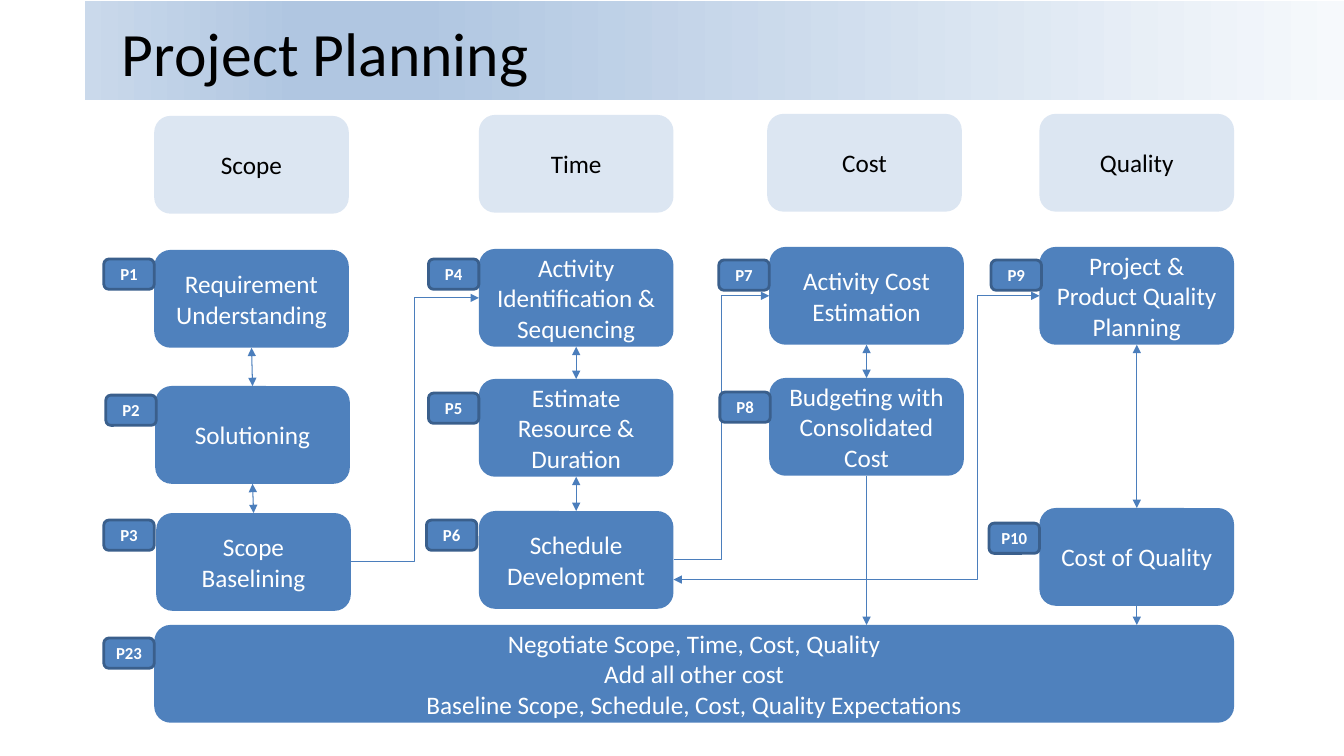
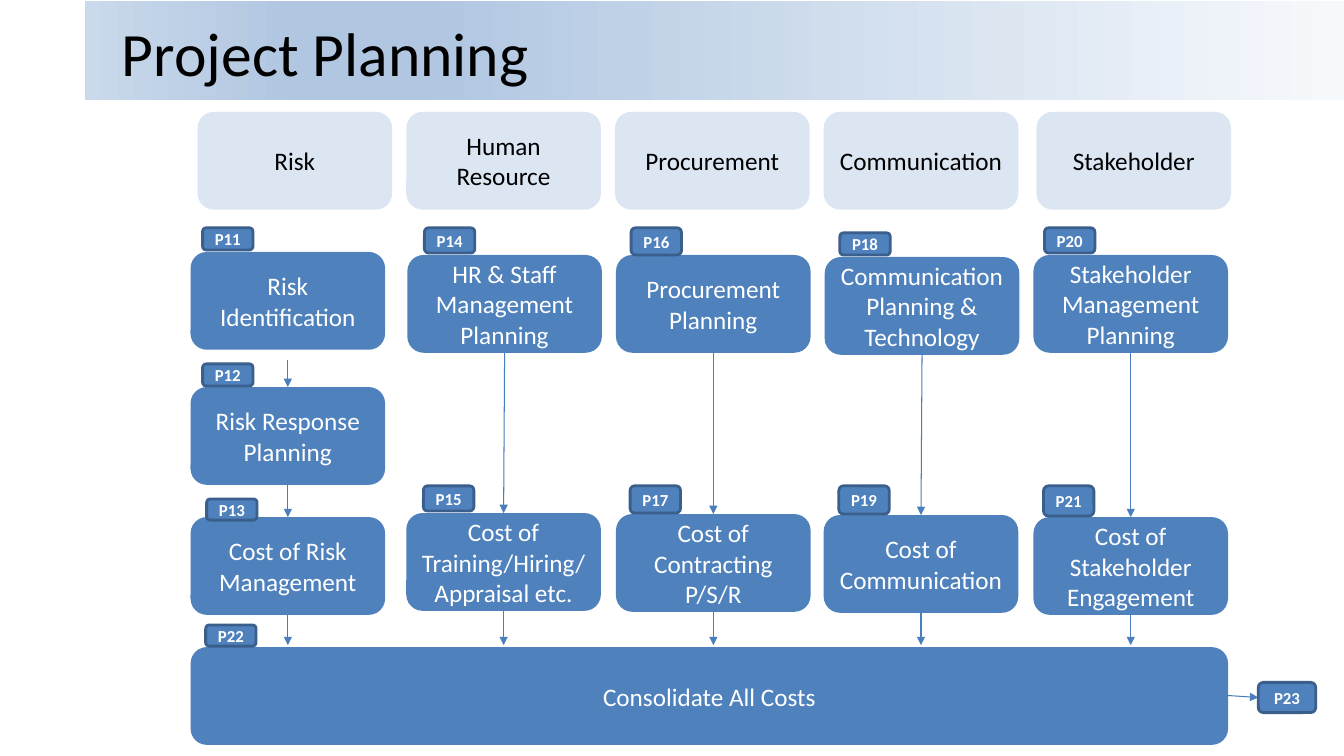
"""Build two project planning slides: process columns that feed a total bar."""
from dataclasses import dataclass

from lxml import etree
from pptx import Presentation
from pptx.dml.color import RGBColor
from pptx.enum.shapes import MSO_CONNECTOR, MSO_SHAPE
from pptx.enum.text import MSO_ANCHOR, PP_ALIGN
from pptx.oxml.ns import qn
from pptx.util import Inches, Pt

STRAIGHT, ELBOW = MSO_CONNECTOR.STRAIGHT, MSO_CONNECTOR.ELBOW
RECTANGLE, ROUNDED = MSO_SHAPE.RECTANGLE, MSO_SHAPE.ROUNDED_RECTANGLE
MIDDLE = MSO_ANCHOR.MIDDLE
LEFT, CENTER = PP_ALIGN.LEFT, PP_ALIGN.CENTER

FONT = "Calibri"
BLACK, WHITE = "000000", "FFFFFF"
PALE, BLUE, BLUE_EDGE, ARROW = "DCE6F2", "4F81BD", "3A5F8C", "4B7EBC"
BAND_STOPS = ((0, "F6F9FC"), (74, "B0C6E1"), (83, "B0C6E1"), (100, "CAD9EB"))
BOX_WIDTH, BOX_HEIGHT = 1.93, 0.97
TITLE = "Project Planning"


@dataclass(frozen=True)
class Badge:
    """A small process number."""
    code: str
    left: float
    top: float
    height: float = 0.3
    width: float = 0.5


@dataclass(frozen=True)
class Box:
    """A process step with its badge."""
    text: str
    left: float
    top: float
    badge: Badge
    width: float = BOX_WIDTH
    gap_below: float = 0

    @property
    def center(self) -> float:
        """Return the horizontal centre."""
        return self.left + self.width / 2

    @property
    def middle(self) -> float:
        """Return the vertical centre."""
        return self.top + BOX_HEIGHT / 2

    @property
    def right(self) -> float:
        """Return the right edge."""
        return self.left + self.width

    @property
    def bottom(self) -> float:
        """Return the bottom edge."""
        return self.top + BOX_HEIGHT


@dataclass(frozen=True)
class Column:
    """A heading above a chain of steps."""
    heading: str
    left: float
    top: float
    steps: tuple[Box, ...]
    feeds_total: bool = True


@dataclass(frozen=True)
class Arrow:
    """A line with an arrowhead at its end and optionally at its start."""
    start: tuple[float, float]
    end: tuple[float, float]
    kind: int = STRAIGHT
    two_way: bool = False
    bend: float = 0.5


@dataclass(frozen=True)
class Plan:
    """Everything below the title of one slide."""
    columns: tuple[Column, ...]
    total: Box
    arrows: tuple[Arrow, ...]
    two_way: bool
    total_gap: float = 0
    extra_badges: tuple[Badge, ...] = ()


SCOPE = (
    Box("Requirement\nUnderstanding", 1.53, 2.48, Badge("P1", 1.03, 2.57)),
    Box("Solutioning", 1.54, 3.83, Badge("P2", 1.05, 3.92)),
    Box("Scope Baselining", 1.55, 5.09, Badge("P3", 1.03, 5.16)),
)
TIME = (
    Box("Activity Identification & Sequencing", 4.75, 2.47, Badge("P4", 4.25, 2.57)),
    Box("Estimate\nResource & Duration", 4.75, 3.76, Badge("P5", 4.25, 3.9)),
    Box("Schedule Development", 4.75, 5.07, Badge("P6", 4.23, 5.16)),
)
COST = (
    Box("Activity Cost\nEstimation", 7.63, 2.45, Badge("P7", 7.13, 2.58)),
    Box("Budgeting with Consolidated Cost", 7.63, 3.75, Badge("P8", 7.14, 3.89)),
)
QUALITY = (
    Box("Project & Product Quality Planning", 10.31, 2.45, Badge("P9", 9.83, 2.58)),
    Box("Cost of Quality", 10.31, 5.04, Badge("P10", 9.81, 5.19)),
)
CORE_PLAN = Plan(
    columns=(
        Column("Scope", 1.53, 1.15, SCOPE, feeds_total=False),
        Column("Time", 4.75, 1.14, TIME, feeds_total=False),
        Column("Cost", 7.61, 1.13, COST),
        Column("Quality", 10.31, 1.13, QUALITY),
    ),
    total=Box(
        "Negotiate Scope, Time, Cost, Quality\nAdd all other cost\n"
        "Baseline Scope, Schedule, Cost, Quality Expectations",
        1.53, 6.2, Badge("P23", 1.03, 6.33), width=10.71),
    arrows=(
        Arrow((SCOPE[-1].right, SCOPE[-1].middle), (TIME[0].left, TIME[0].middle), ELBOW),
        Arrow((TIME[-1].right, TIME[-1].middle), (COST[0].left, COST[0].middle), ELBOW),
        Arrow((QUALITY[0].left, QUALITY[0].middle), (TIME[-1].right, 5.75), ELBOW,
              two_way=True, bend=0.17),
    ),
    two_way=True,
)

RISK = (
    Box("Risk Identification", 1.89, 2.5, Badge("P11", 2.01, 2.26, 0.22), gap_below=0.1),
    Box("Risk Response Planning", 1.89, 3.84, Badge("P12", 2.01, 3.61, 0.22)),
    Box("Cost of Risk Management", 1.89, 5.13, Badge("P13", 2.05, 4.95, 0.21)),
)
HUMAN_RESOURCE = (
    Box("HR & Staff Management Planning", 4.04, 2.53, Badge("P14", 4.21, 2.26, 0.25)),
    Box("Cost of Training/Hiring/ Appraisal etc.", 4.03, 5.09, Badge("P15", 4.2, 4.82, 0.25)),
)
PROCUREMENT = (
    Box("Procurement Planning", 6.11, 2.53, Badge("P16", 6.26, 2.26, 0.27)),
    Box("Cost of Contracting P/S/R", 6.11, 5.1, Badge("P17", 6.25, 4.82, 0.27)),
)
COMMUNICATION = (
    Box("Communication Planning & Technology", 8.18, 2.55, Badge("P18", 8.33, 2.31, 0.22)),
    Box("Cost of Communication", 8.17, 5.11, Badge("P19", 8.32, 4.82, 0.28)),
)
STAKEHOLDER = (
    Box("Stakeholder Management Planning", 10.25, 2.53, Badge("P20", 10.36, 2.26, 0.25)),
    Box("Cost of Stakeholder Engagement", 10.25, 5.13, Badge("P21", 10.35, 4.82)),
)
SUPPORT_PLAN = Plan(
    columns=(
        Column("Risk", 1.96, 1.11, RISK),
        Column("Human Resource", 4.03, 1.11, HUMAN_RESOURCE),
        Column("Procurement", 6.1, 1.11, PROCUREMENT),
        Column("Communication", 8.17, 1.11, COMMUNICATION),
        Column("Stakeholder", 10.28, 1.11, STAKEHOLDER),
    ),
    total=Box("Consolidate All Costs", 1.89, 6.42, Badge("P22", 2.04, 6.2, 0.21), width=10.29),
    arrows=(Arrow((12.18, 6.9), (12.48, 6.92)),),
    two_way=False,
    total_gap=0.02,
    extra_badges=(Badge("P23", 12.48, 6.77, width=0.57),),
)


def color(value: str) -> RGBColor:
    """Turn a hex string into a colour."""
    return RGBColor.from_string(value)


def format_text(text_frame, text: str, size: int, text_color: str,
                alignment=CENTER, bold: bool = False) -> None:
    """Write and format text, one paragraph a line."""
    text_frame.word_wrap = True
    text_frame.vertical_anchor = MIDDLE
    text_frame.text = text
    for paragraph in text_frame.paragraphs:
        paragraph.alignment = alignment
        font = paragraph.font
        font.name, font.size, font.bold = FONT, Pt(size), bold
        font.color.rgb = color(text_color)


def add_block(slide, left: float, top: float, width: float, height: float,
              fill: str, kind=ROUNDED):
    """Add a flat filled shape without an outline."""
    shape = slide.shapes.add_shape(kind, Inches(left), Inches(top), Inches(width), Inches(height))
    shape.shadow.inherit = False
    shape.fill.solid()
    shape.fill.fore_color.rgb = color(fill)
    shape.line.fill.background()
    return shape


def add_box(slide, text: str, left: float, top: float, width: float = BOX_WIDTH,
            fill: str = BLUE, text_color: str = WHITE) -> None:
    """Add a rounded heading, step or total bar."""
    shape = add_block(slide, left, top, width, BOX_HEIGHT, fill)
    format_text(shape.text_frame, text, 18, text_color)


def add_badge(slide, badge: Badge) -> None:
    """Add an outlined process number."""
    shape = add_block(slide, badge.left, badge.top, badge.width, badge.height, BLUE)
    shape.line.color.rgb = color(BLUE_EDGE)
    shape.line.width = Pt(2)
    frame = shape.text_frame
    frame.margin_left = frame.margin_right = frame.margin_top = frame.margin_bottom = 0
    format_text(frame, badge.code, 12, WHITE, bold=True)


def add_arrow(slide, arrow: Arrow) -> None:
    """Add a straight or elbow connector with arrowheads."""
    points = [Inches(value) for value in (*arrow.start, *arrow.end)]
    connector = slide.shapes.add_connector(arrow.kind, *points)
    connector.line.color.rgb = color(ARROW)
    connector.line.width = Pt(0.75)
    properties = connector.element.spPr
    line = properties.find(qn("a:ln"))
    for end in ("a:headEnd", "a:tailEnd") if arrow.two_way else ("a:tailEnd",):
        etree.SubElement(line, qn(end), type="triangle")
    etree.SubElement(properties, qn("a:effectLst"))
    if arrow.kind == ELBOW:
        geometry = properties.find(qn("a:prstGeom"))
        adjustments = geometry.find(qn("a:avLst"))
        if adjustments is None:
            adjustments = etree.SubElement(geometry, qn("a:avLst"))
        etree.SubElement(adjustments, qn("a:gd"), name="adj1",
                         fmla=f"val {round(arrow.bend * 100000)}")


def add_band(slide) -> None:
    """Put the gradient band on the layout, behind the title."""
    band = add_block(slide, 0.84, 0.01, 12.49, 0.98, PALE, RECTANGLE)
    band.fill.gradient()
    band.fill.gradient_angle = 180
    stops = band.element.spPr.find(qn("a:gradFill")).find(qn("a:gsLst"))
    for stop in list(stops):
        stops.remove(stop)
    for position, value in BAND_STOPS:
        stop = etree.SubElement(stops, qn("a:gs"), pos=str(position * 1000))
        etree.SubElement(stop, qn("a:srgbClr"), val=value)
    band.element.nvSpPr.cNvPr.set("id", "100")
    slide.slide_layout.shapes.element.insert(2, band.element)


def add_title(slide) -> None:
    """Place and format the title placeholder."""
    title = slide.shapes.title
    title.left, title.top = Inches(1.11), Inches(0.06)
    title.width, title.height = Inches(11.78), Inches(0.91)
    format_text(title.text_frame, TITLE, 44, BLACK, LEFT)


def add_column(slide, column: Column, plan: Plan) -> None:
    """Add a heading, its steps and the arrows that chain them."""
    add_box(slide, column.heading, column.left, column.top, fill=PALE, text_color=BLACK)
    for step in column.steps:
        add_box(slide, step.text, step.left, step.top)
    for upper, lower in zip(column.steps, column.steps[1:]):
        add_arrow(slide, Arrow((upper.center, upper.bottom + upper.gap_below),
                               (lower.center, lower.top), two_way=plan.two_way))
    if column.feeds_total:
        last = column.steps[-1]
        add_arrow(slide, Arrow((last.center, last.bottom),
                               (last.center, plan.total.top - plan.total_gap)))


def add_plan(slide, plan: Plan) -> None:
    """Draw the columns, the total bar, the cross arrows and the badges."""
    add_title(slide)
    total = plan.total
    add_box(slide, total.text, total.left, total.top, total.width)
    for column in plan.columns:
        add_column(slide, column, plan)
    for arrow in plan.arrows:
        add_arrow(slide, arrow)
    step_badges = [step.badge for column in plan.columns for step in column.steps]
    for badge in (*step_badges, total.badge, *plan.extra_badges):
        add_badge(slide, badge)


def main() -> None:
    """Build and save the presentation."""
    presentation = Presentation()
    presentation.slide_width, presentation.slide_height = Inches(13.33), Inches(7.5)
    title_only = presentation.slide_layouts[5]
    slides = [presentation.slides.add_slide(title_only) for _ in range(2)]
    add_band(slides[0])
    for slide, plan in zip(slides, (CORE_PLAN, SUPPORT_PLAN)):
        add_plan(slide, plan)
    presentation.save("out.pptx")


if __name__ == "__main__":
    main()
